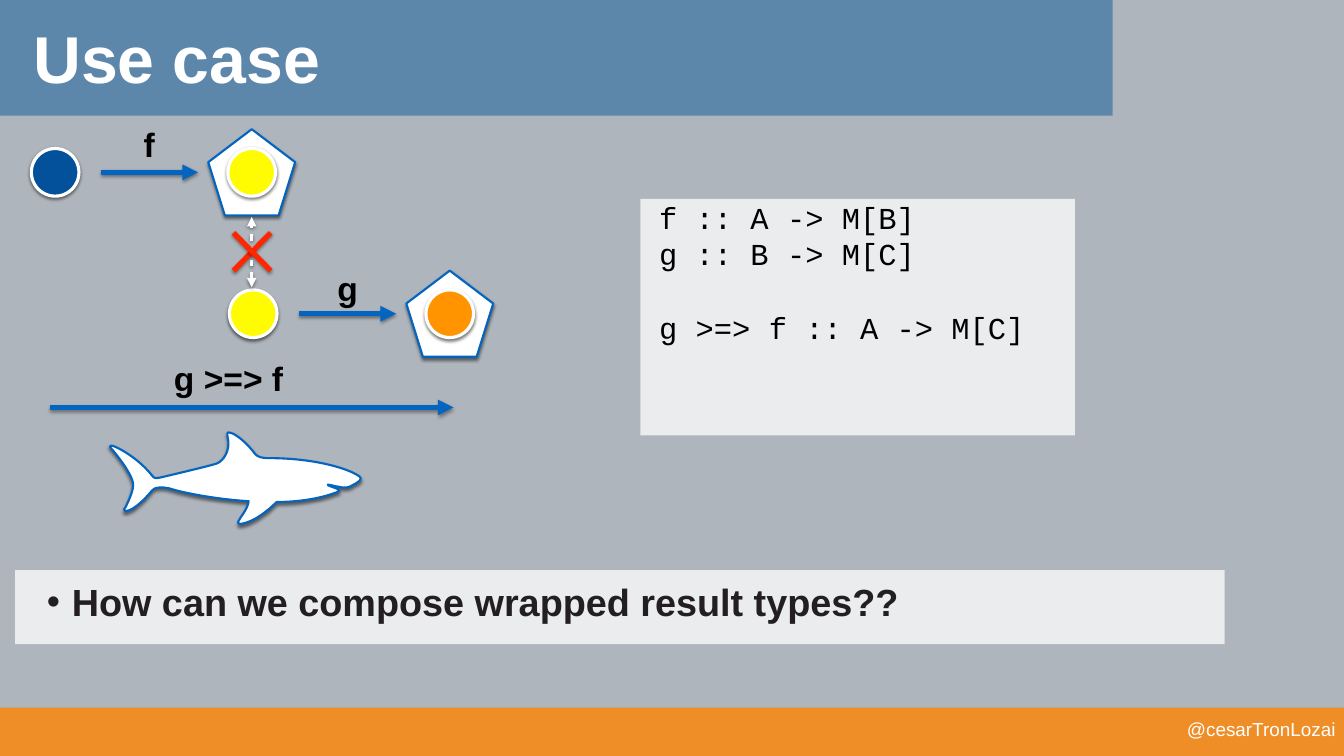
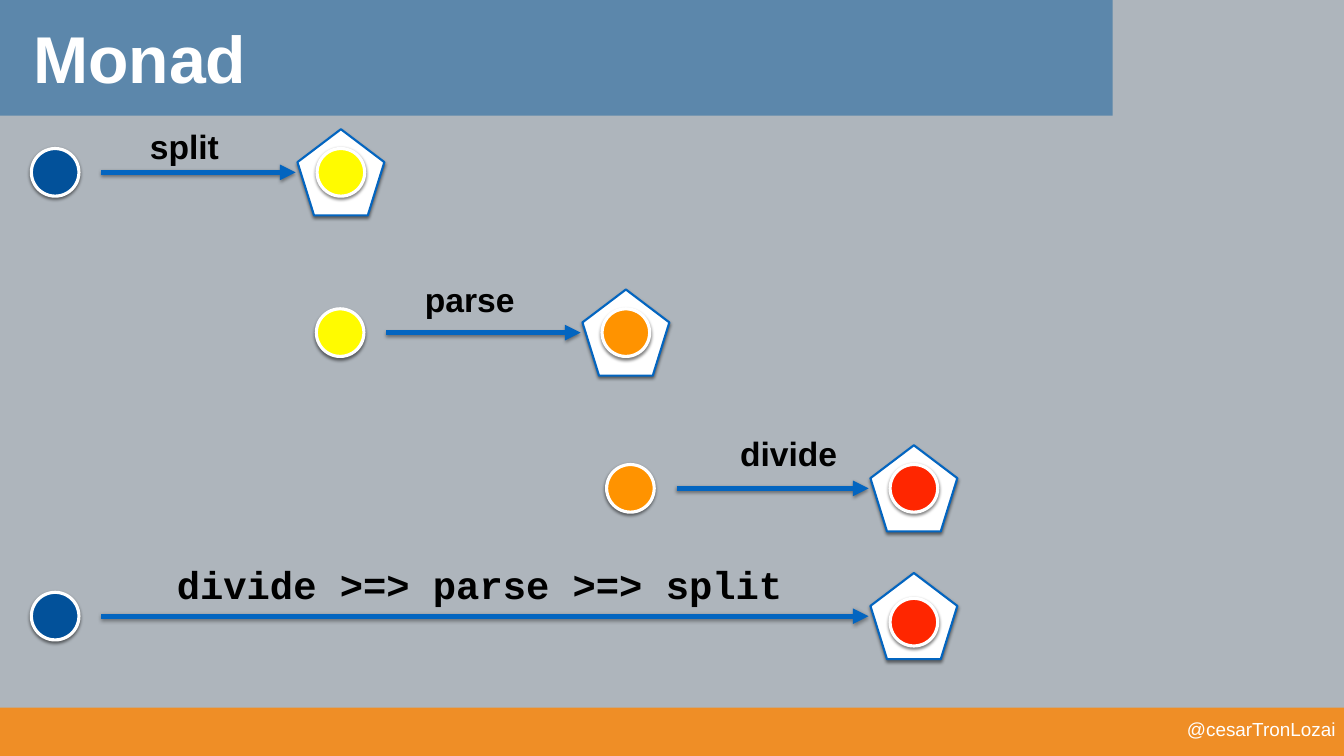
from dataclasses import dataclass

from lxml.etree import SubElement
from pptx import Presentation
from pptx.dml.color import RGBColor
from pptx.enum.shapes import MSO_CONNECTOR, MSO_SHAPE
from pptx.enum.text import MSO_ANCHOR, MSO_AUTO_SIZE, PP_ALIGN
from pptx.oxml.ns import qn
from pptx.util import Inches, Pt

COLUMNS, ROWS = 17.78, 10
CELL = Inches(1)
TITLE_AND_BODY, TITLE_ONLY = 1, 5


@dataclass(frozen=True)
class TextStyle:
    font: str
    size: int
    color: str
    bold: bool = False


@dataclass(frozen=True)
class Theme:
    background: str = "AEB5BC"
    title_band: str = "5C87AB"
    footer_band: str = "EF8E26"
    white: str = "FFFFFF"
    arrow: str = "0365C0"
    navy: str = "02519A"
    yellow: str = "FFFB00"
    orange: str = "FF9300"
    red: str = "FF2600"
    panel_opacity: int = 75
    thin: int = 2
    medium: int = 3
    thick: int = 5
    title: TextStyle = TextStyle("Arial", 63, "FFFFFF", True)
    footer: TextStyle = TextStyle("Arial", 18, "FFFFFF")
    label: TextStyle = TextStyle("Arial", 32, "000000", True)
    question: TextStyle = TextStyle("Arial", 36, "231F21", True)
    code: TextStyle = TextStyle("Courier New", 29, "000000")
    formula: TextStyle = TextStyle("Courier New", 37, "000000", True)


@dataclass(frozen=True)
class Box:
    column: float
    row: float
    columns: float
    rows: float

    def emu(self) -> list[int]:
        return [cells(v) for v in (self.column, self.row, self.columns, self.rows)]


@dataclass(frozen=True)
class Step:
    source: float
    result: float
    row: float
    source_color: str
    result_color: str
    arrow_gap: float = 0.6
    ball_drop: float = 0


@dataclass(frozen=True)
class Label:
    text: str
    box: Box


THEME = Theme()
TITLE_BAND = Box(0, -0.02, 14.72, 1.55)
FOOTER_BAND = Box(0, 9.36, COLUMNS, 0.64)
FOOTER_TEXT = Box(9.91, 9.5, 7.76, 0.28)
TITLE_BOX = Box(0.39, -0.34, 16, 2.2)
CODE_BOX = Box(8.47, 2.63, 5.75, 3.13)
QUESTION_BOX = Box(0.2, 7.54, 16, 0.98)
FORMULA_BOX = Box(1.57, 7.42, 9.3, 0.81)
BALL = 0.63
PENTAGON = (1.15, 1.14)

USE_CASE_STEPS = [
    Step(3.35, 5.95, 4.15, THEME.yellow, THEME.orange, 0.71),
    Step(0.73, 3.33, 2.28, THEME.navy, THEME.yellow, 0.71),
]
USE_CASE_LABELS = [
    Label("g", Box(4.4, 3.51, 0.4, 0.61)),
    Label("f", Box(1.84, 1.6, 0.27, 0.61)),
    Label("g >=> f", Box(2.24, 4.69, 1.57, 0.61)),
]
MONAD_STEPS = [
    Step(0.73, 4.51, 2.28, THEME.navy, THEME.yellow),
    Step(4.5, 8.28, 4.4, THEME.yellow, THEME.orange),
    Step(8.34, 12.09, 6.46, THEME.orange, THEME.red),
    Step(0.73, 12.09, 8.15, THEME.navy, THEME.red, ball_drop=0.08),
]
MONAD_LABELS = [
    Label("split", Box(1.92, 1.63, 1.04, 0.61)),
    Label("parse", Box(5.56, 3.65, 1.31, 0.61)),
    Label("divide", Box(9.73, 5.69, 1.41, 0.61)),
]
CODE_LINES = ["f :: A -> M[B]", "g :: B -> M[C]", "g >=> f :: A -> M[C]"]

SHARK_START = (3.02, 5.72)
SHARK_CURVES = [
    (3.01, 5.72, 3, 5.74, 3.01, 5.77),
    (3.06, 5.96, 2.95, 6.1, 2.87, 6.13),
    (2.79, 6.16, 2.19, 6.3, 2.15, 6.31),
    (2.1, 6.32, 2.04, 6.34, 2.02, 6.3),
    (1.83, 6.06, 1.58, 5.93, 1.5, 5.9),
    (1.46, 5.89, 1.44, 5.9, 1.46, 5.92),
    (1.49, 5.95, 1.73, 6.23, 1.76, 6.39),
    (1.78, 6.48, 1.67, 6.69, 1.66, 6.71),
    (1.65, 6.73, 1.62, 6.75, 1.66, 6.76),
    (1.78, 6.76, 1.97, 6.54, 2.01, 6.49),
    (2.04, 6.44, 2.15, 6.44, 2.24, 6.46),
    (2.39, 6.51, 2.82, 6.6, 3.29, 6.63),
    (3.28, 6.73, 3.18, 6.84, 3.17, 6.87),
    (3.14, 6.91, 3.14, 6.93, 3.19, 6.93),
    (3.37, 6.9, 3.55, 6.75, 3.66, 6.64),
    (3.94, 6.64, 4.22, 6.6, 4.46, 6.51),
    (4.49, 6.5, 4.5, 6.49, 4.47, 6.47),
    (4.45, 6.46, 4.39, 6.44, 4.34, 6.42),
    (4.33, 6.42, 4.34, 6.41, 4.34, 6.41),
    (4.4, 6.42, 4.42, 6.43, 4.49, 6.44),
    (4.55, 6.46, 4.62, 6.45, 4.66, 6.42),
    (4.74, 6.38, 4.78, 6.35, 4.77, 6.32),
    (4.73, 6.25, 4.27, 6.06, 3.56, 6.06),
    (3.45, 6.06, 3.41, 6.04, 3.38, 6.01),
    (3.28, 5.88, 3.18, 5.79, 3.09, 5.74),
    (3.07, 5.73, 3.04, 5.72, 3.02, 5.72),
]


def cells(value: float) -> int:
    return round(value * CELL)


def paint(shape, color: str, opacity: int = 100) -> None:
    shape.fill.solid()
    shape.fill.fore_color.rgb = RGBColor.from_string(color)
    if opacity < 100:
        color_element = shape.element.spPr.find(".//" + qn("a:srgbClr"))
        SubElement(color_element, qn("a:alpha"), val=str(opacity * 1000))


def outline(shape, color: str, width: int) -> None:
    shape.line.color.rgb = RGBColor.from_string(color)
    shape.line.width = Pt(width)


def cast_shadow(shape, distance: float, opacity: int) -> None:
    effects = SubElement(shape.element.spPr, qn("a:effectLst"))
    shadow = SubElement(effects, qn("a:outerShdw"), blurRad=str(Pt(3)), dist=str(Pt(distance)),
                        dir="5400000", rotWithShape="0")
    color = SubElement(shadow, qn("a:srgbClr"), val="000000")
    SubElement(color, qn("a:alpha"), val=str(opacity * 1000))


def write(shape, lines: list[str], style: TextStyle, align=PP_ALIGN.LEFT, anchor=MSO_ANCHOR.TOP,
          inset: float = 0, wrap: bool = True, indent: float = 0) -> None:
    frame = shape.text_frame
    frame.text = "\n".join(lines)
    frame.word_wrap = wrap
    frame.auto_size = MSO_AUTO_SIZE.NONE
    frame.vertical_anchor = anchor
    frame.margin_left = frame.margin_right = frame.margin_top = frame.margin_bottom = cells(inset)
    for paragraph in frame.paragraphs:
        paragraph.alignment = align
        if indent:
            paragraph._p.get_or_add_pPr().set("indent", str(cells(indent)))
        for run in paragraph.runs:
            run.font.name, run.font.size, run.font.bold = style.font, Pt(style.size), style.bold
            run.font.color.rgb = RGBColor.from_string(style.color)


def place(shape, box: Box) -> None:
    shape.left, shape.top, shape.width, shape.height = box.emu()


def add_panel(slide, box: Box, color: str, opacity: int = 100):
    panel = slide.shapes.add_shape(MSO_SHAPE.RECTANGLE, *box.emu())
    paint(panel, color, opacity)
    panel.line.fill.background()
    panel.shadow.inherit = False
    return panel


def add_figure(slide, kind, center: tuple[float, float], size: tuple[float, float],
               fill: str, line: str, width: int) -> None:
    (x, y), (columns, rows) = center, size
    figure = slide.shapes.add_shape(kind, *Box(x - columns / 2, y - rows / 2, columns, rows).emu())
    paint(figure, fill)
    outline(figure, line, width)
    cast_shadow(figure, 2, 50)


def add_ball(slide, x: float, y: float, color: str) -> None:
    add_figure(slide, MSO_SHAPE.OVAL, (x, y), (BALL, BALL), color, THEME.white, THEME.medium)


def add_line(slide, start: tuple[float, float], end: tuple[float, float], color: str = THEME.arrow,
             width: int = THEME.thick, ends: tuple[str, ...] = ("tailEnd",), dashed: bool = False) -> None:
    points = [cells(value) for value in (*start, *end)]
    line = slide.shapes.add_connector(MSO_CONNECTOR.STRAIGHT, *points)
    outline(line, color, width)
    line_element = line.element.spPr.find(qn("a:ln"))
    if dashed:
        dashes = SubElement(line_element, qn("a:custDash"))
        SubElement(dashes, qn("a:ds"), d="200000", sp="200000")
    for end_name in ends:
        SubElement(line_element, qn(f"a:{end_name}"), type="triangle")
    cast_shadow(line, 1.6, 38)


def add_step(slide, step: Step) -> None:
    add_figure(slide, MSO_SHAPE.REGULAR_PENTAGON, (step.result, step.row), PENTAGON,
               THEME.white, THEME.arrow, THEME.thin)
    add_ball(slide, step.source, step.row, step.source_color)
    add_ball(slide, step.result, step.row + step.ball_drop, step.result_color)
    add_line(slide, (step.source + 0.61, step.row), (step.result - step.arrow_gap, step.row))


def add_label(slide, label: Label) -> None:
    text_box = slide.shapes.add_textbox(*label.box.emu())
    write(text_box, [label.text], THEME.label, PP_ALIGN.CENTER, MSO_ANCHOR.MIDDLE, 0.06, wrap=False)


def add_shark(slide) -> None:
    builder = slide.shapes.build_freeform(*map(cells, SHARK_START))
    builder.add_line_segments([tuple(map(cells, curve[4:])) for curve in SHARK_CURVES], close=False)
    shark = builder.convert_to_shape()
    outline_path = shark.element.spPr.find(".//" + qn("a:path"))
    for segment in outline_path.findall(qn("a:lnTo")):
        outline_path.remove(segment)
    for curve in SHARK_CURVES:
        segment = SubElement(outline_path, qn("a:cubicBezTo"))
        for x, y in zip(curve[::2], curve[1::2]):
            SubElement(segment, qn("a:pt"), x=str(cells(x) - shark.left), y=str(cells(y) - shark.top))
    SubElement(outline_path, qn("a:close"))
    paint(shark, THEME.white)
    outline(shark, THEME.arrow, THEME.thin)
    cast_shadow(shark, 2, 50)


def add_slide(presentation, layout: int, title: str, steps: list[Step], labels: list[Label]):
    slide = presentation.slides.add_slide(presentation.slide_layouts[layout])
    heading = slide.shapes.title
    for box, color in ((TITLE_BAND, THEME.title_band), (FOOTER_BAND, THEME.footer_band)):
        heading.element.addprevious(add_panel(slide, box, color).element)
    place(heading, TITLE_BOX)
    write(heading, [title], THEME.title, anchor=MSO_ANCHOR.MIDDLE, inset=0.05)
    footer = slide.shapes.add_textbox(*FOOTER_TEXT.emu())
    write(footer, ["@cesarTronLozai"], THEME.footer, PP_ALIGN.RIGHT, MSO_ANCHOR.MIDDLE)
    for step in steps:
        add_step(slide, step)
    for label in labels:
        add_label(slide, label)
    return slide


def add_question(slide) -> None:
    body = slide.placeholders[1]
    place(body, QUESTION_BOX)
    paint(body, THEME.white, THEME.panel_opacity)
    write(body, ["How can we compose wrapped result types??"], THEME.question)
    paragraph = body.text_frame.paragraphs[0]
    paragraph.line_spacing = 1.2
    paragraph.space_before = Pt(0)
    properties = paragraph._p.get_or_add_pPr()
    properties.set("marL", str(cells(0.75)))
    properties.set("indent", str(cells(-0.33)))
    SubElement(properties, qn("a:buChar"), char="•")


def add_code(slide) -> None:
    panel = add_panel(slide, CODE_BOX, THEME.white, THEME.panel_opacity)
    write(panel, CODE_LINES, THEME.code, indent=0.25)
    panel.text_frame.paragraphs[-1].space_before = Pt(35)


def build_use_case(presentation) -> None:
    slide = add_slide(presentation, TITLE_AND_BODY, "Use case", USE_CASE_STEPS, USE_CASE_LABELS)
    add_question(slide)
    add_code(slide)
    add_line(slide, (0.66, 5.39), (6, 5.39))
    add_line(slide, (3.33, 3.8), (3.33, 2.87), THEME.white, THEME.medium, ("headEnd", "tailEnd"), True)
    for start_row, end_row in ((3.58, 3.08), (3.08, 3.58)):
        add_line(slide, (3.09, start_row), (3.58, end_row), THEME.red, ends=())
    add_shark(slide)


def build_monad(presentation) -> None:
    slide = add_slide(presentation, TITLE_ONLY, "Monad", MONAD_STEPS, MONAD_LABELS)
    formula = slide.shapes.add_textbox(*FORMULA_BOX.emu())
    write(formula, ["divide >=> parse >=> split"], THEME.formula, PP_ALIGN.CENTER, indent=0.25)


def main() -> None:
    presentation = Presentation()
    presentation.slide_width, presentation.slide_height = cells(COLUMNS), cells(ROWS)
    background = presentation.slide_master.background.fill
    background.solid()
    background.fore_color.rgb = RGBColor.from_string(THEME.background)
    build_use_case(presentation)
    build_monad(presentation)
    presentation.save("out.pptx")


if __name__ == "__main__":
    main()
